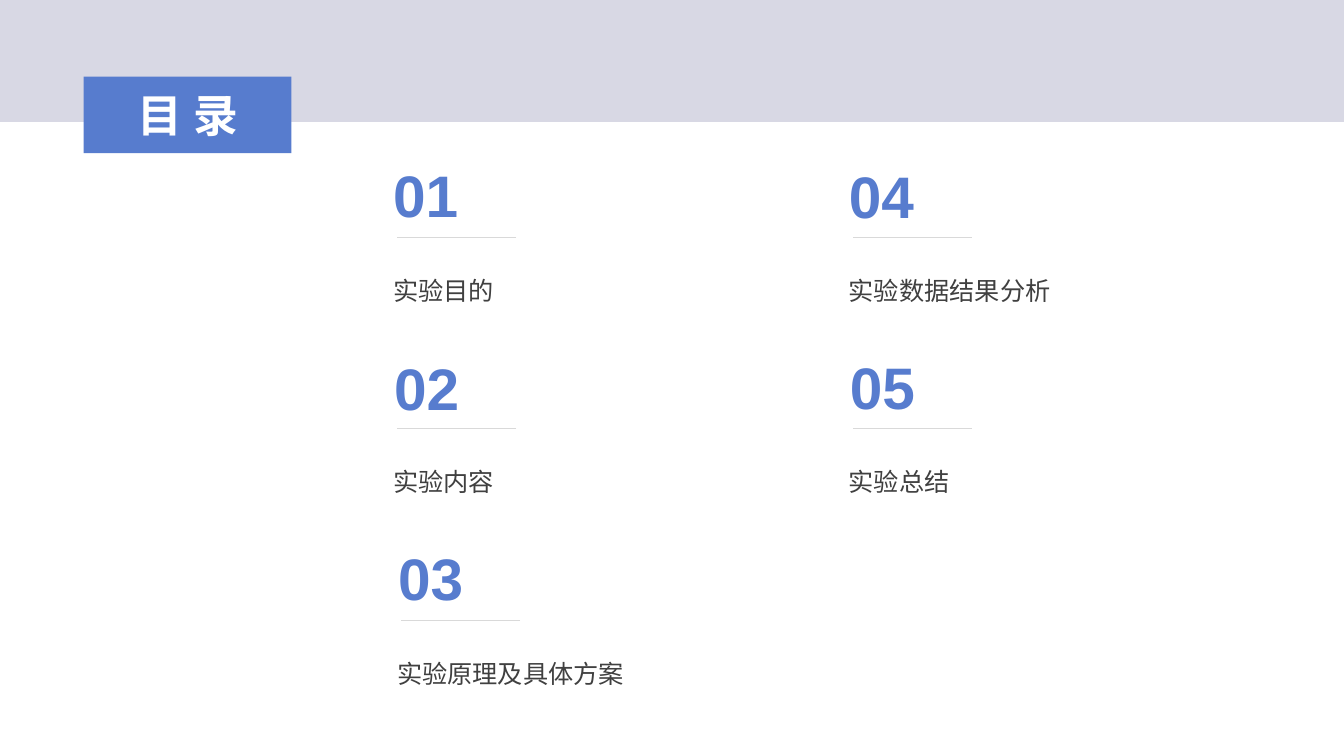
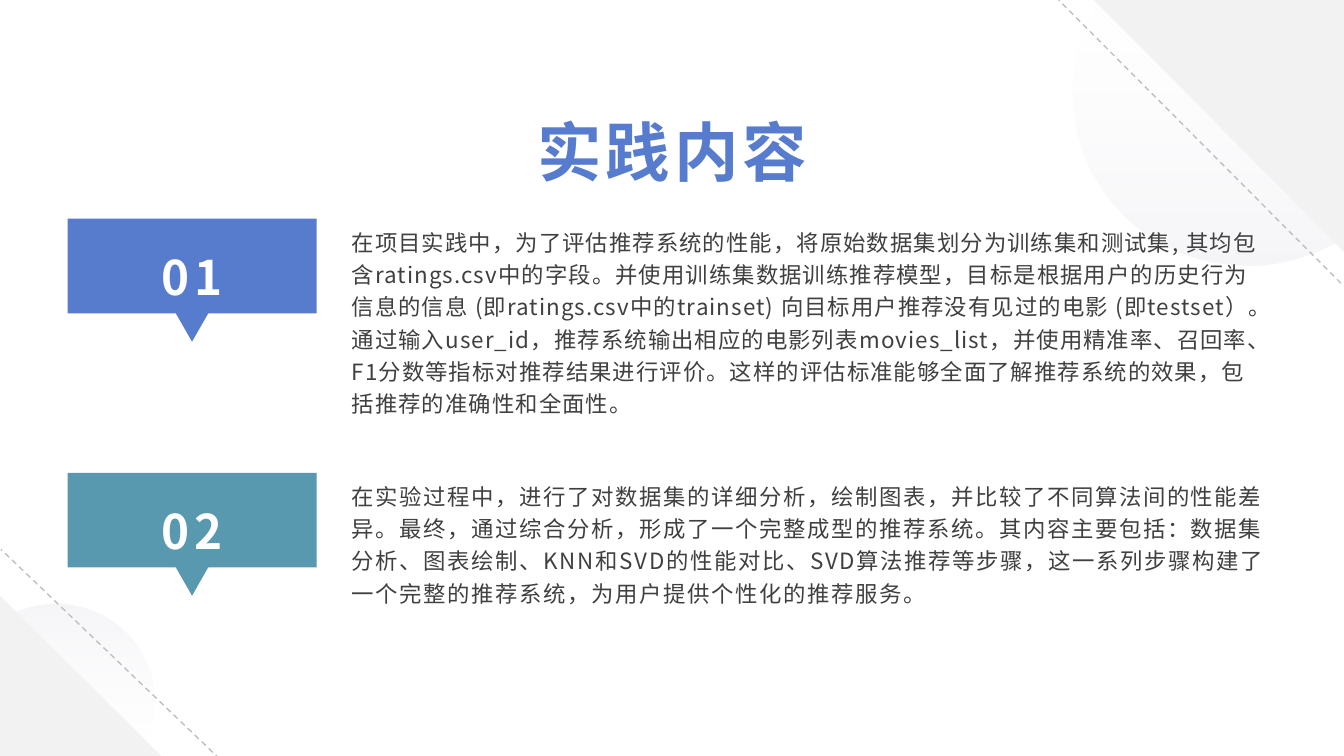
import pptx
import pptx.dml.color
import pptx.enum.dml
import pptx.enum.shapes
import pptx.enum.text
import pptx.oxml.ns
import pptx.util
from lxml import etree

Inches = pptx.util.Inches
Pt = pptx.util.Pt
RGB = pptx.dml.color.RGBColor
Align = pptx.enum.text.PP_ALIGN
Anchor = pptx.enum.text.MSO_ANCHOR
Kind = pptx.enum.shapes.MSO_SHAPE
qn = pptx.oxml.ns.qn

# Shared colours and fonts
BLUE = RGB(0x57, 0x7C, 0xCE)
TEAL = RGB(0x59, 0x99, 0xAF)
LILAC = RGB(0xD8, 0xD8, 0xE4)
PALE = RGB(0xF2, 0xF2, 0xF2)
RULE = RGB(0xD9, 0xD9, 0xD9)
DASH = RGB(0xBF, 0xBF, 0xBF)
INK = RGB(0x40, 0x40, 0x40)
WHITE = RGB(0xFF, 0xFF, 0xFF)
ARIAL = "Arial"
NOTO = "Noto Sans CJK SC"
WIDE, HIGH = 13.33, 7.5


def write(shape, text, size, color, face=NOTO, bold=False, align=Align.LEFT,
          anchor=Anchor.TOP, inset=(0.1, 0.05), lead=1, after=0, space=0):
    """Fill a shape with one styled paragraph; space is letter spacing in points."""
    frame = shape.text_frame
    frame.word_wrap = True
    frame.auto_size = pptx.enum.text.MSO_AUTO_SIZE.NONE
    frame.vertical_anchor = anchor
    frame.margin_left = frame.margin_right = Inches(inset[0])
    frame.margin_top = frame.margin_bottom = Inches(inset[1])
    frame.text = text
    para = frame.paragraphs[0]
    para.alignment = align
    para.line_spacing = lead
    para.space_after = Pt(after)
    font = para.font
    font.name, font.size, font.bold = face, Pt(size), bold
    font.color.rgb = color
    # East Asian face and letter spacing
    props = para._p.find(".//" + qn("a:defRPr"))
    etree.SubElement(props, qn("a:ea")).set("typeface", NOTO)
    if space:
        props.set("spc", str(round(space * 100)))


def label(slide, box, text, size, color, **style):
    shape = slide.shapes.add_textbox(*map(Inches, box))
    write(shape, text, size, color, **style)


def paint(shape, color):
    shape.shadow.inherit = False
    shape.line.fill.background()
    shape.fill.solid()
    shape.fill.fore_color.rgb = color


def block(slide, kind, box, color):
    paint(slide.shapes.add_shape(kind, *map(Inches, box)), color)


def outline(slide, points, color):
    """Draw a closed polygon through points given in inches."""
    spots = [(Inches(x), Inches(y)) for x, y in points]
    maker = slide.shapes.build_freeform(*spots[0])
    maker.add_line_segments(spots[1:], close=True)
    shape = maker.convert_to_shape()
    paint(shape, color)
    return shape


def rule(slide, start, end, color, width, dash=False):
    line = slide.shapes.add_connector(
        pptx.enum.shapes.MSO_CONNECTOR.STRAIGHT, *map(Inches, start + end))
    line.line.color.rgb = color
    line.line.width = Pt(width)
    if dash:
        line.line.dash_style = pptx.enum.dml.MSO_LINE.DASH
    etree.SubElement(line.element.spPr, qn("a:effectLst"))


def title(slide, box, text, size, color, **style):
    """Place the title placeholder in front of what is drawn so far."""
    head = slide.shapes.title
    head.left, head.top, head.width, head.height = map(Inches, box)
    write(head, text, size, color, bold=True, align=Align.CENTER, **style)
    head.element.getparent().append(head.element)
    return head


# Disc cut by a slide corner: four corners, then three curves of three points
DISC = [(0.28, 0), (2.69, 0), (2.69, 2.34), (2.56, 2.42),
        (2.31, 2.55), (2.03, 2.63), (1.73, 2.63),
        (0.77, 2.63), (0, 1.87), (0, 0.92),
        (0, 0.63), (0.07, 0.35), (0.21, 0.11)]


def disc(slide, x, y, scale, turn):
    """Draw the faint disc at x, y, scaled and turned."""
    shape = outline(slide, [(x + scale * a, y + scale * b) for a, b in DISC], WHITE)
    shape.rotation = turn
    # Join each three points after the straight part into a curve
    legs = list(shape.element.iter(qn("a:lnTo")))[3:]
    for i in range(0, len(legs), 3):
        curve = etree.Element(qn("a:cubicBezTo"))
        legs[i].addprevious(curve)
        for leg in legs[i:i + 3]:
            curve.append(leg[0])
            leg.getparent().remove(leg)
    # See-through gradient from top to bottom
    fill = shape.fill
    fill.gradient()
    fill.gradient_angle = 270
    for stop, color in zip(fill.gradient_stops, (WHITE, LILAC)):
        stop.color.rgb = color
    tints = shape.element.spPr.iter(qn("a:srgbClr"))
    for tint, alpha in zip(tints, (10, 24)):
        etree.SubElement(tint, qn("a:alpha")).set("val", str(alpha * 1000))


def corners(slide):
    # Top right and bottom left ornaments
    disc(slide, 10.64, 0, 1, 0)
    disc(slide, 0, 5.99, 0.57, 180)
    rule(slide, (13.3, 2.81), (10.5, 0), DASH, 1, True)
    outline(slide, [(10.85, 0), (WIDE, 0), (WIDE, 2.5)], PALE)
    block(slide, Kind.RIGHT_TRIANGLE, (0, 5.91, 1.6, 1.59), PALE)
    rule(slide, (2.18, 7.53), (0.01, 5.45), DASH, 1, True)


def entry(slide, x, y, num, text, shift):
    """Contents entry: heading, number moved by shift, thin rule."""
    right, down = shift
    label(slide, (x, y + 1, 3.54, 0.67), text, 18, INK, face=ARIAL,
          align=Align.JUSTIFY, lead=1.5, after=20)
    label(slide, (x + right, y + down, 0.89, 0.84), num, 41.8, BLUE,
          face=ARIAL, bold=True)
    rule(slide, (x + 1.32, y + 0.82), (x + 0.14, y + 0.82), RULE, 0.5)


def topic(slide, x, y, num, text, color, space):
    """Numbered flag with a pointer, and its text on the right."""
    wide, high, tip, half = 2.47, 0.94, 0.28, 0.16
    mid, base = x + wide / 2, y + high
    outline(slide, [(x, y), (x + wide, y), (x + wide, base), (mid + half, base),
                    (mid, base + tip), (mid - half, base), (x, base)], color)
    label(slide, (x + 2.72, y, 9.28, 2.12), text, 16, INK,
          lead=1.2, after=8, space=space)
    label(slide, (x + 0.88, y + 0.11, 0.71, 0.7), num, 34, WHITE, bold=True,
          align=Align.CENTER, anchor=Anchor.MIDDLE, inset=(0, 0), lead=1.4, space=3)


# Left edge, row, heading, shift of the number
ENTRIES = [
    (3.8, 0, "实验目的", (0, 0)),
    (3.8, 1, "实验内容", (0.01, 0.01)),
    (3.84, 2, "实验原理及具体方案", (0.01, 0)),
    (8.32, 0, "实验数据结果分析", (0, 0.01)),
    (8.32, 1, "实验总结", (0.01, 0)),
]

TOPICS = [
    ("在项目实践中，为了评估推荐系统的性能，将原始数据集划分为训练集和测试集, "
     "其均包含ratings.csv中的字段。并使用训练集数据训练推荐模型，目标是根据用户的"
     "历史行为信息的信息 (即ratings.csv中的trainset) 向目标用户推荐没有见过的电影 "
     "(即testset）。通过输入user_id，推荐系统输出相应的电影列表movies_list，"
     "并使用精准率、召回率、F1分数等指标对推荐结果进行评价。"
     "这样的评估标准能够全面了解推荐系统的效果，包括推荐的准确性和全面性。",
     BLUE, 0.8),
    ("在实验过程中，进行了对数据集的详细分析，绘制图表，并比较了不同算法间的性能差异。"
     "最终，通过综合分析，形成了一个完整成型的推荐系统。其内容主要包括：数据集分析、"
     "图表绘制、KNN和SVD的性能对比、SVD算法推荐等步骤，"
     "这一系列步骤构建了一个完整的推荐系统，为用户提供个性化的推荐服务。",
     TEAL, 1.2),
]


def agenda(slide):
    block(slide, Kind.RECTANGLE, (0, 0, WIDE, 1.21), LILAC)
    for i, (x, row, text, shift) in enumerate(ENTRIES, 1):
        entry(slide, x, 1.53 + 1.9 * row, f"{i:02}", text, shift)
    head = title(slide, (0.83, 0.76, 2.06, 0.76), "目录", 32, WHITE,
                 face=ARIAL, anchor=Anchor.MIDDLE, space=8)
    paint(head, BLUE)


def content(slide):
    corners(slide)
    title(slide, (0.67, 1.08, 12, 0.83), "实践内容", 46, BLUE,
          inset=(0.07, 0.03), space=3)
    for i, (text, color, space) in enumerate(TOPICS):
        topic(slide, 0.67, 2.17 + 2.52 * i, f"{i + 1:02}", text, color, space)


def main():
    deck = pptx.Presentation()
    deck.slide_width, deck.slide_height = Inches(WIDE), Inches(HIGH)
    for build in (agenda, content):
        build(deck.slides.add_slide(deck.slide_layouts[5]))
    deck.save("out.pptx")


if __name__ == "__main__":
    main()
